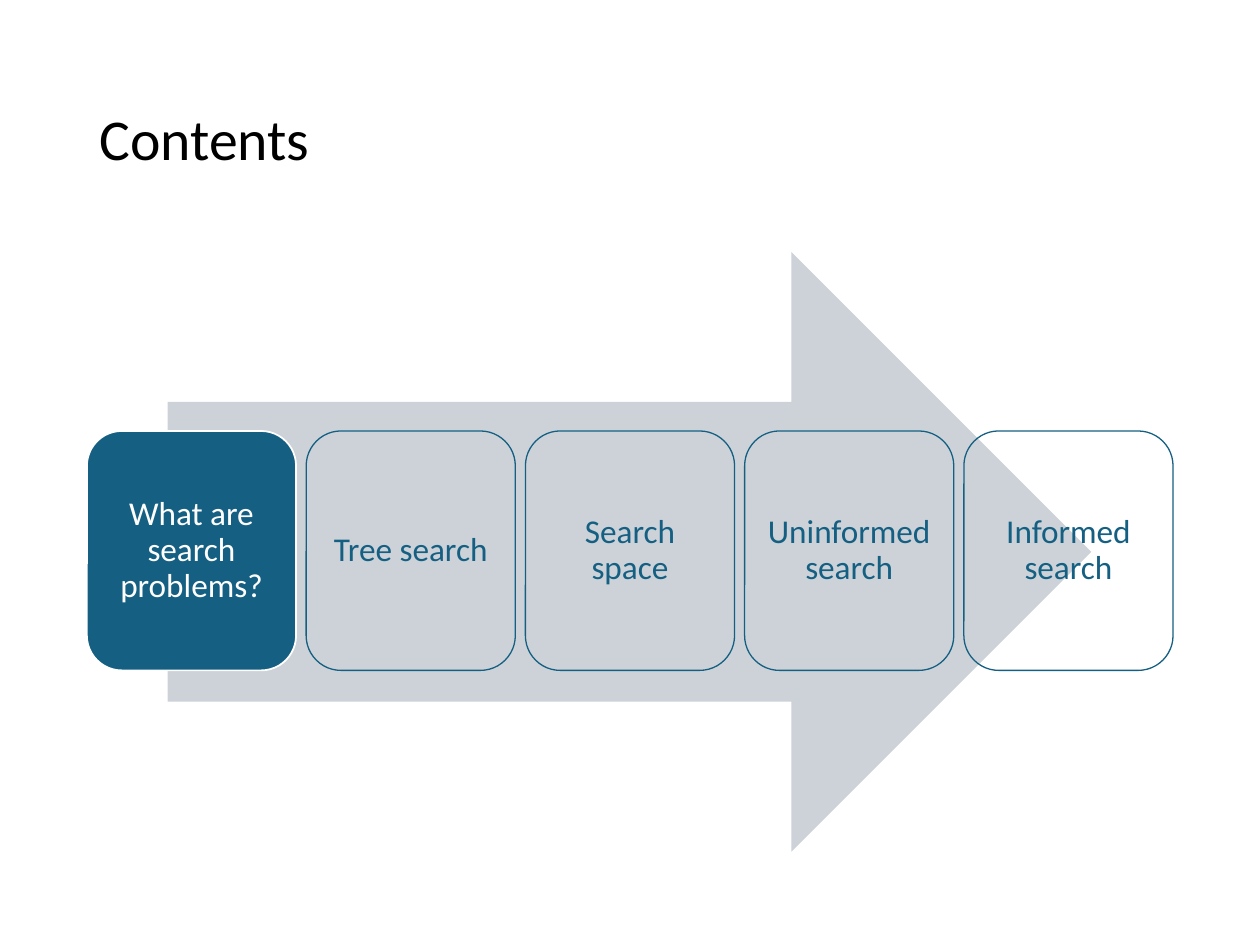
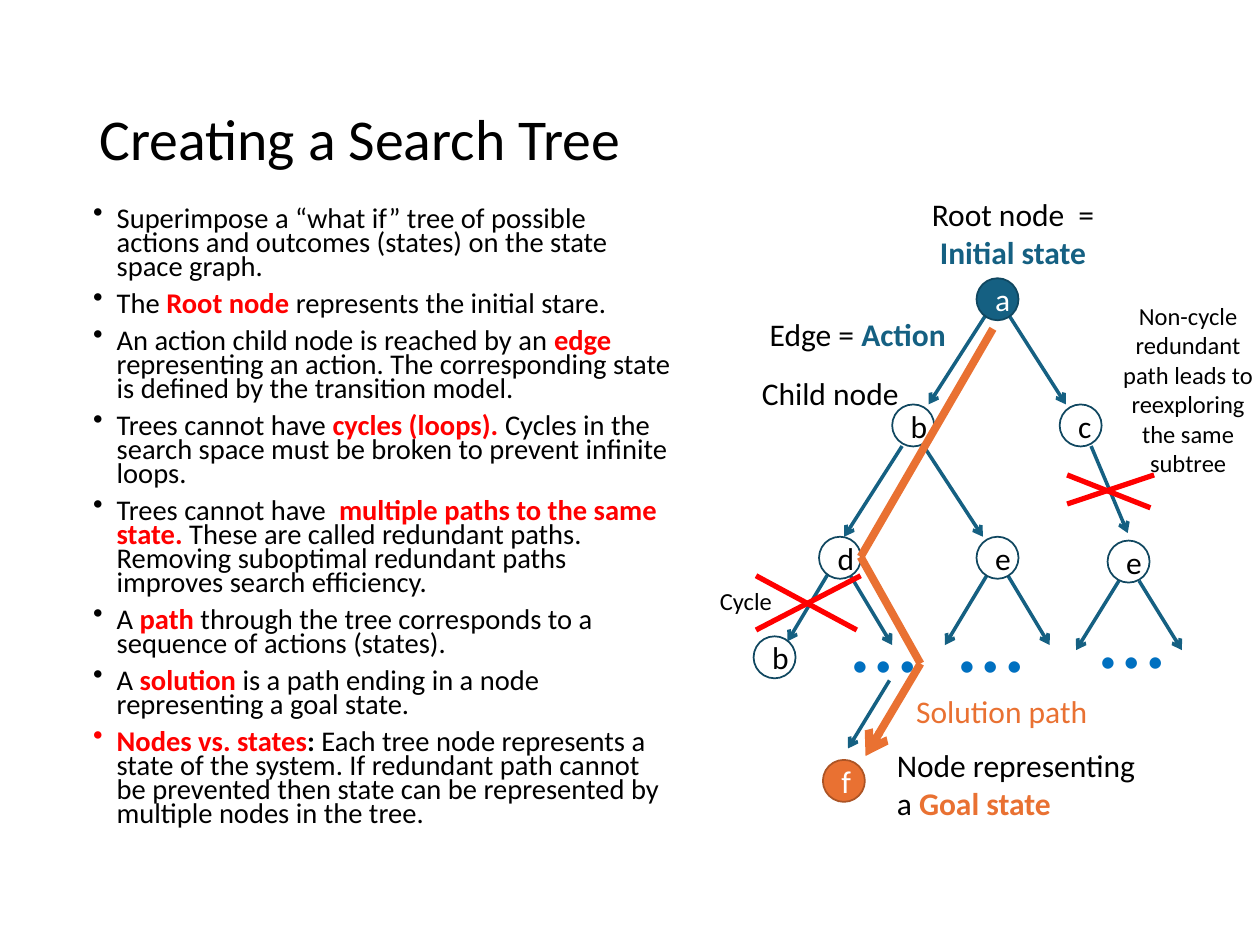
from typing import NamedTuple

import pptx
import pptx.dml.color
import pptx.enum.shapes
import pptx.enum.text
import pptx.oxml
import pptx.util
from pptx.oxml import ns

Pt = pptx.util.Pt
SHAPES = pptx.enum.shapes.MSO_SHAPE
ALIGN = pptx.enum.text.PP_ALIGN
ANCHOR = pptx.enum.text.MSO_ANCHOR

FONT = "Calibri"
BLACK, WHITE, RED = "000000", "FFFFFF", "FF0000"
TEAL, DARK_TEAL = "156082", "104760"
ORANGE, DARK_ORANGE = "E97132", "AC5425"
ARROW_GREY, DOT_BLUE = "CCD2D8", "0070C0"


class Area(NamedTuple):
    left: float
    top: float
    width: float
    height: float


class Span(NamedTuple):
    text: str
    color: str = BLACK
    bold: bool = False


class Label(NamedTuple):
    area: Area
    paragraphs: list[list[Span]]
    size: float = 18
    align: ALIGN = ALIGN.CENTER


class Node(NamedTuple):
    letter: str
    left: float
    top: float
    fill: str = WHITE
    outline: str = DARK_TEAL
    color: str = BLACK


class Stroke(NamedTuple):
    start: tuple[float, float]
    end: tuple[float, float]
    color: str = TEAL
    width: float = 2
    arrow: bool = True


TITLE_AREA = Area(49.7, 28.8, 620.6, 104.4)
BODY_AREA = Area(46.1, 115.9, 346.3, 388.1)
BIG_ARROW = Area(95.8, 144, 527.8, 342.7)
FIRST_CARD = Area(49.7, 246.3, 119.5, 136.8)
CARD_PITCH = 125.28
NODE_SIZE = 24

TOPICS = ["What are search problems?", "Tree search", "Search space",
          "Uninformed search", "Informed search"]


def key(text: str) -> Span:
    return Span(text, RED, True)


BULLETS = [
    [Span("Superimpose a “what if” tree of possible actions and outcomes (states) on the "
          "state space graph.")],
    [Span("The"), key(" Root node"), Span(" represents the initial stare.")],
    [Span("An action child node is reached by an "), key("edge"),
     Span(" representing an action. The corresponding state is defined by the "
          "transition model.")],
    [Span("Trees cannot have "), key("cycles (loops). "),
     Span("Cycles in the search space must be broken to prevent infinite loops.")],
    [Span("Trees cannot have  "), key("multiple paths to the same state."),
     Span(" These are called redundant paths. Removing suboptimal redundant paths "
          "improves search efficiency.")],
    [Span("A "), key("path"),
     Span(" through the tree corresponds to a sequence of actions (states).")],
    [Span("A "), key("solution"),
     Span(" is a path ending in a node representing a goal state.")],
    [key("Nodes vs. states"), Span(": ", bold=True),
     Span("Each tree node represents a state of the system. If redundant path cannot be "
          "prevented then state can be represented by multiple nodes in the tree.")],
]

NODES = [
    Node("a", 558, 159, TEAL, DARK_TEAL, WHITE),
    Node("b", 509.8, 231.1),
    Node("c", 605.5, 231.1),
    Node("d", 468, 306.7),
    Node("e", 558, 306.7),
    Node("e", 632.9, 308.9),
    Node("b", 430.6, 363.6),
    Node("f", 470.2, 434.2, ORANGE, DARK_ORANGE, WHITE),
]

EDGES = [
    Stroke((563.8, 179.3), (530.6, 231.1)),
    Stroke((576, 179.3), (609.1, 231.1)),
    Stroke((515.5, 254.9), (482.4, 306.7)),
    Stroke((527.8, 254.9), (561.6, 306.7)),
    Stroke((623.5, 254.9), (644.4, 304.6)),
    Stroke((473.8, 326.9), (450, 366.5)),
    Stroke((486, 329), (509.8, 368.6)),
    Stroke((563.8, 329), (540, 368.6)),
    Stroke((576, 329), (599.8, 368.6)),
    Stroke((639.4, 331.9), (614.9, 371.5)),
    Stroke((650.9, 331.9), (675.4, 371.5)),
    Stroke((508.3, 388.8), (484.6, 427.7)),
]

CROSS_STROKES = [
    Stroke(start, end, RED, 3, False)
    for start, end in [
        ((609.8, 271.4), (657.4, 290.2)),
        ((659.5, 271.4), (609.8, 288)),
        ((432, 329), (489.6, 360)),
        ((491.8, 329), (432, 360)),
    ]
]

SOLUTION_POINTS = [(567.4, 187.9), (491.8, 318.2), (526, 379.2), (494.6, 432)]

DOT_CORNERS = [(479.5, 326.9), (540.7, 326.9), (621.4, 324.7)]

LABELS = [
    Label(Area(522, 108, 113.8, 51.1),
          [[Span("Root node  = "), Span("Initial state", TEAL, True)]]),
    Label(Area(426.2, 210.2, 96.5, 28.8), [[Span("Child node")]]),
    Label(Area(432.7, 176.4, 120, 28.8),
          [[Span("Edge = "), Span("Action", TEAL, True)]], align=ALIGN.LEFT),
    Label(Area(505.4, 422.6, 160, 51.1),
          [[Span("Node representing")], [Span("a "), Span("Goal state", ORANGE, True)]],
          align=ALIGN.LEFT),
    Label(Area(630.7, 168.5, 96.5, 108.7),
          [[Span("Non-cycle redundant")],
           [Span("path leads to reexploring the same subtree")]], 14),
    Label(Area(511.9, 391.7, 121, 28.8), [[Span("Solution path", ORANGE)]]),
    Label(Area(378, 331.2, 96.5, 24.5), [[Span("Cycle")]], 14),
]


def rgb(color: str) -> pptx.dml.color.RGBColor:
    return pptx.dml.color.RGBColor.from_string(color)


def add_bullet(para) -> None:
    properties = para._p.get_or_add_pPr()
    properties.set("marL", str(Pt(13.5)))
    properties.set("indent", str(-Pt(13.5)))
    bullet = pptx.oxml.parse_xml(f'<a:buChar {ns.nsdecls("a")} char="•"/>')
    properties.append(bullet)


def write(frame, paragraphs: list[list[Span]], *, size: float, align: ALIGN = ALIGN.LEFT,
          anchor: ANCHOR = ANCHOR.TOP, spacing: float = 1, before: float = 0,
          bullets: bool = False) -> None:
    frame.word_wrap = True
    frame.vertical_anchor = anchor
    for index, spans in enumerate(paragraphs):
        para = frame.add_paragraph() if index else frame.paragraphs[0]
        if bullets:
            add_bullet(para)
        para.alignment = align
        para.line_spacing = spacing
        para.space_before = Pt(before if index else 0)
        for span in spans:
            run = para.add_run()
            run.text = span.text
            run.font.name = FONT
            run.font.size = Pt(size)
            run.font.bold = span.bold
            run.font.color.rgb = rgb(span.color)


def add_text(page, area: Area, paragraphs: list[list[Span]], **style) -> None:
    box = page.shapes.add_textbox(*map(Pt, area))
    write(box.text_frame, paragraphs, **style)


def add_box(page, kind: SHAPES, area: Area, fill: str | None = None,
            outline: str | None = None, width: float = 1):
    box = page.shapes.add_shape(kind, *map(Pt, area))
    box.shadow.inherit = False
    if fill:
        box.fill.solid()
        box.fill.fore_color.rgb = rgb(fill)
    else:
        box.fill.background()
    if outline:
        box.line.color.rgb = rgb(outline)
        box.line.width = Pt(width)
    else:
        box.line.fill.background()
    return box


def add_stroke(page, stroke: Stroke) -> None:
    line = page.shapes.add_connector(pptx.enum.shapes.MSO_CONNECTOR.STRAIGHT,
                                     *map(Pt, stroke.start + stroke.end))
    line.line.color.rgb = rgb(stroke.color)
    line.line.width = Pt(stroke.width)
    if stroke.arrow:
        head = pptx.oxml.parse_xml(f'<a:tailEnd {ns.nsdecls("a")} type="arrow"/>')
        line.line._get_or_add_ln().append(head)
    effects = pptx.oxml.parse_xml(f'<a:effectLst {ns.nsdecls("a")}/>')
    line._element.spPr.append(effects)


def add_node(page, node: Node) -> None:
    area = Area(node.left, node.top, NODE_SIZE, NODE_SIZE)
    circle = add_box(page, SHAPES.OVAL, area, node.fill, node.outline)
    write(circle.text_frame, [[Span(node.letter, node.color)]], size=18,
          align=ALIGN.CENTER, anchor=ANCHOR.MIDDLE)


def add_card(page, index: int, topic: str) -> None:
    current = index == 0
    area = FIRST_CARD._replace(left=FIRST_CARD.left + index * CARD_PITCH)
    card = add_box(page, SHAPES.ROUNDED_RECTANGLE, area, TEAL if current else None,
                   WHITE if current else TEAL, 1 if current else 0.75)
    frame = card.text_frame
    frame.margin_left = frame.margin_right = Pt(6)
    frame.margin_top = frame.margin_bottom = Pt(6)
    write(frame, [[Span(topic, WHITE if current else TEAL)]], size=19,
          align=ALIGN.CENTER, anchor=ANCHOR.MIDDLE, spacing=0.9)


def add_page(deck, title: str):
    page = deck.slides.add_slide(deck.slide_layouts[6])
    add_text(page, TITLE_AREA, [[Span(title)]], size=33, anchor=ANCHOR.MIDDLE, spacing=0.9)
    return page


def build_contents(deck) -> None:
    page = add_page(deck, "Contents")
    add_box(page, SHAPES.RIGHT_ARROW, BIG_ARROW, ARROW_GREY)
    for index, topic in enumerate(TOPICS):
        add_card(page, index, topic)


def build_search_tree(deck) -> None:
    page = add_page(deck, "Creating a Search Tree")
    add_text(page, BODY_AREA, BULLETS, size=16.3, spacing=0.7, before=7.5, bullets=True)
    for left, top in DOT_CORNERS:
        add_text(page, Area(left, top, 53.3, 72.7), [[Span("…", DOT_BLUE)]], size=54)
    for edge in EDGES:
        add_stroke(page, edge)
    for node in NODES:
        add_node(page, node)
    for label in LABELS:
        add_text(page, label.area, label.paragraphs, size=label.size, align=label.align)
    for stroke in CROSS_STROKES:
        add_stroke(page, stroke)
    for start, end in zip(SOLUTION_POINTS, SOLUTION_POINTS[1:]):
        add_stroke(page, Stroke(start, end, ORANGE, 4.5, end == SOLUTION_POINTS[-1]))


def main() -> None:
    deck = pptx.Presentation()
    deck.slide_width, deck.slide_height = Pt(720), Pt(540)
    build_contents(deck)
    build_search_tree(deck)
    deck.save("out.pptx")


if __name__ == "__main__":
    main()
